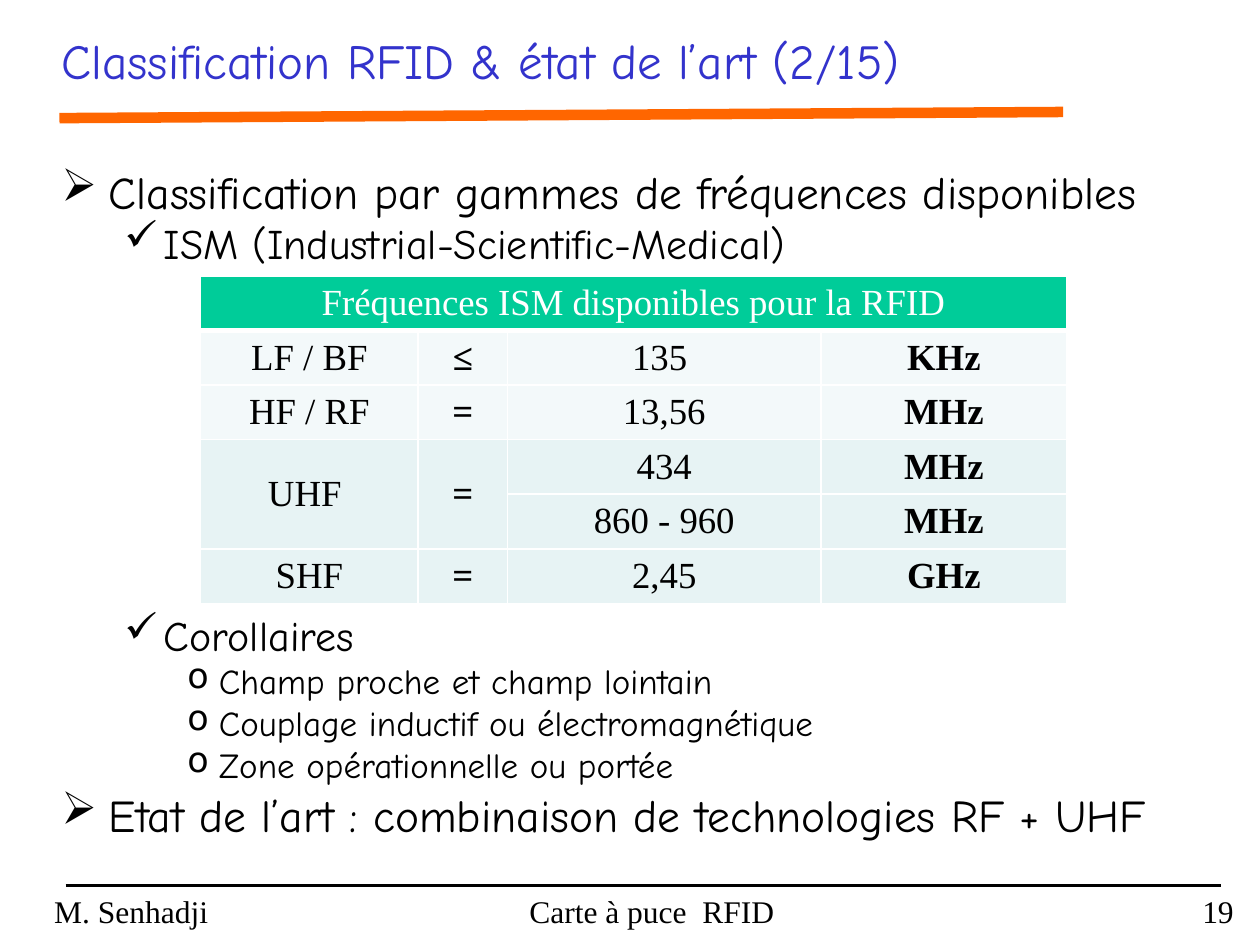
import pptx
import pptx.util
import pptx.dml.color
import pptx.enum.shapes
import pptx.enum.text
import pptx.oxml
import pptx.oxml.ns
from lxml import etree

Pt = pptx.util.Pt
ALIGN = pptx.enum.text.PP_ALIGN
ANCHOR = pptx.enum.text.MSO_ANCHOR

COLORS = {"title": "3333CC", "rule": "FF6600", "text": "000000", "white": "FFFFFF",
          "header": "00CC99", "light": "F3F9FA", "tint": "E7F3F4"}
HAND, SERIF = "Comic Neue", "Times New Roman"

TITLE = "Classification RFID & état de l’art (2/15)"

# level, text, space before
OUTLINE = [
    (0, "Classification par gammes de fréquences disponibles", 0),
    (1, "ISM (Industrial-Scientific-Medical)", 5.5),
    (1, "Corollaires", 201),  # leaves room for the table
    (2, "Champ proche et champ lointain", 4.6),
    (2, "Couplage inductif ou électromagnétique", 4.6),
    (2, "Zone opérationnelle ou portée", 4.6),
    (0, "Etat de l’art : combinaison de technologies RF + UHF", 7),
]
# bullet, size, left margin, hanging indent
LEVELS = [("➢", 26, 27, 27), ("✓", 24, 58.5, 22.5), ("o", 20, 90, 18)]

TABLE_TITLE = "Fréquences ISM disponibles pour la RFID"
# fill, band, sign, frequency, unit
BANDS = [
    ("light", "LF / BF", "≤", "135 ", "KHz"),
    ("light", "HF / RF", "=", "13,56", "MHz"),
    ("tint", "UHF ", "=", "434", "MHz"),
    ("tint", "", "", "860 - 960", "MHz"),
    ("tint", "SHF", "=", "2,45", "GHz"),
]
BOLD_COLUMNS = (1, 3)
COLUMN_WIDTHS = [124.5, 51, 179.2, 140.4]
ROW_HEIGHT = 30

# text, left, width, alignment
FOOTER = [
    ("M. Senhadji", 0, 150, ALIGN.CENTER),
    ("Carte à puce  RFID", 258.5, 228, ALIGN.CENTER),
    ("19", 618.5, 93.6, ALIGN.RIGHT),
]
# start x, start y, end x, end y, colour, width
RULES = [(34, 67.5, 607.5, 64, "rule", 6), (37.5, 506, 697.5, 506, "text", 2.25)]


def rgb(name):
    return pptx.dml.color.RGBColor.from_string(COLORS[name])


def style_paragraph(paragraph, font, size, color, bold=False):
    for run in paragraph.runs:
        run.font.name = font
        run.font.size = Pt(size)
        run.font.bold = bold
        run.font.color.rgb = rgb(color)


def add_text_box(slide, left, top, width, height):
    text_frame = slide.shapes.add_textbox(Pt(left), Pt(top), Pt(width), Pt(height)).text_frame
    text_frame.word_wrap = True
    return text_frame


def add_rule(slide, x1, y1, x2, y2, color, width):
    line = slide.shapes.add_connector(pptx.enum.shapes.MSO_CONNECTOR.STRAIGHT,
                                      Pt(x1), Pt(y1), Pt(x2), Pt(y2))
    line.line.color.rgb = rgb(color)
    line.line.width = Pt(width)
    etree.SubElement(line._element.spPr, pptx.oxml.ns.qn("a:effectLst"))


def add_outline(slide):
    text_frame = add_text_box(slide, 28, 96, 692, 401)
    for index, (level, text, space) in enumerate(OUTLINE):
        bullet, size, margin, hanging = LEVELS[level]
        paragraph = text_frame.add_paragraph() if index else text_frame.paragraphs[0]
        paragraph.text = text
        paragraph.level = level
        paragraph.line_spacing = 0.8
        paragraph.space_before = Pt(space)
        properties = paragraph._p.get_or_add_pPr()
        properties.set("marL", str(Pt(margin)))
        properties.set("indent", str(-Pt(hanging)))
        etree.SubElement(properties, pptx.oxml.ns.qn("a:buChar"), char=bullet)
        style_paragraph(paragraph, HAND, size, "text")


def set_borders(cell, top, bottom):
    properties = cell._tc.get_or_add_tcPr()
    widths = {"L": 1, "R": 1, "T": top, "B": bottom}
    for position, (side, width) in enumerate(widths.items()):
        properties.insert(position, pptx.oxml.parse_xml(
            f'<a:ln{side} {pptx.oxml.ns.nsdecls("a")} w="{Pt(width)}"><a:solidFill>'
            f'<a:srgbClr val="{COLORS["white"]}"/></a:solidFill></a:ln{side}>'))


def add_frequency_table(slide):
    rows = [("header", TABLE_TITLE, "", "", "")] + BANDS
    table = slide.shapes.add_table(len(rows), len(COLUMN_WIDTHS), Pt(114.5), Pt(157.7),
                                   Pt(sum(COLUMN_WIDTHS)), Pt(ROW_HEIGHT * len(rows))).table
    table.first_row = table.horz_banding = False
    for column, width in zip(table.columns, COLUMN_WIDTHS):
        column.width = Pt(width)
    for row_index, (fill, *texts) in enumerate(rows):
        table.rows[row_index].height = Pt(ROW_HEIGHT)
        for column_index, text in enumerate(texts):
            cell = table.cell(row_index, column_index)
            cell.fill.solid()
            cell.fill.fore_color.rgb = rgb(fill)
            cell.vertical_anchor = ANCHOR.MIDDLE
            cell.margin_top = cell.margin_bottom = Pt(3)
            set_borders(cell, 3 if row_index == 1 else 1, 3 if row_index == 0 else 1)
            paragraph = cell.text_frame.paragraphs[0]
            paragraph.text = text
            paragraph.alignment = ALIGN.CENTER
            paragraph.font.size = Pt(21)
            style_paragraph(paragraph, SERIF, 21, "text" if row_index else "white",
                            row_index > 0 and column_index in BOLD_COLUMNS)
    table.cell(0, 0).merge(table.cell(0, 3))
    for column_index in (0, 1):
        table.cell(3, column_index).merge(table.cell(4, column_index))


def main():
    presentation = pptx.Presentation()
    presentation.slide_width, presentation.slide_height = Pt(720), Pt(540)
    slide = presentation.slides.add_slide(presentation.slide_layouts[6])

    for rule in RULES:
        add_rule(slide, *rule)
    for text, left, width, alignment in FOOTER:
        text_frame = add_text_box(slide, left, 506, width, 33)
        text_frame.text = text
        text_frame.paragraphs[0].alignment = alignment
        style_paragraph(text_frame.paragraphs[0], SERIF, 18, "text")

    add_outline(slide)
    add_frequency_table(slide)

    title = add_text_box(slide, 28, 6, 612, 56)
    title.vertical_anchor = ANCHOR.MIDDLE
    title.text = TITLE
    style_paragraph(title.paragraphs[0], HAND, 28, "title")
    presentation.save("out.pptx")


if __name__ == "__main__":
    main()
